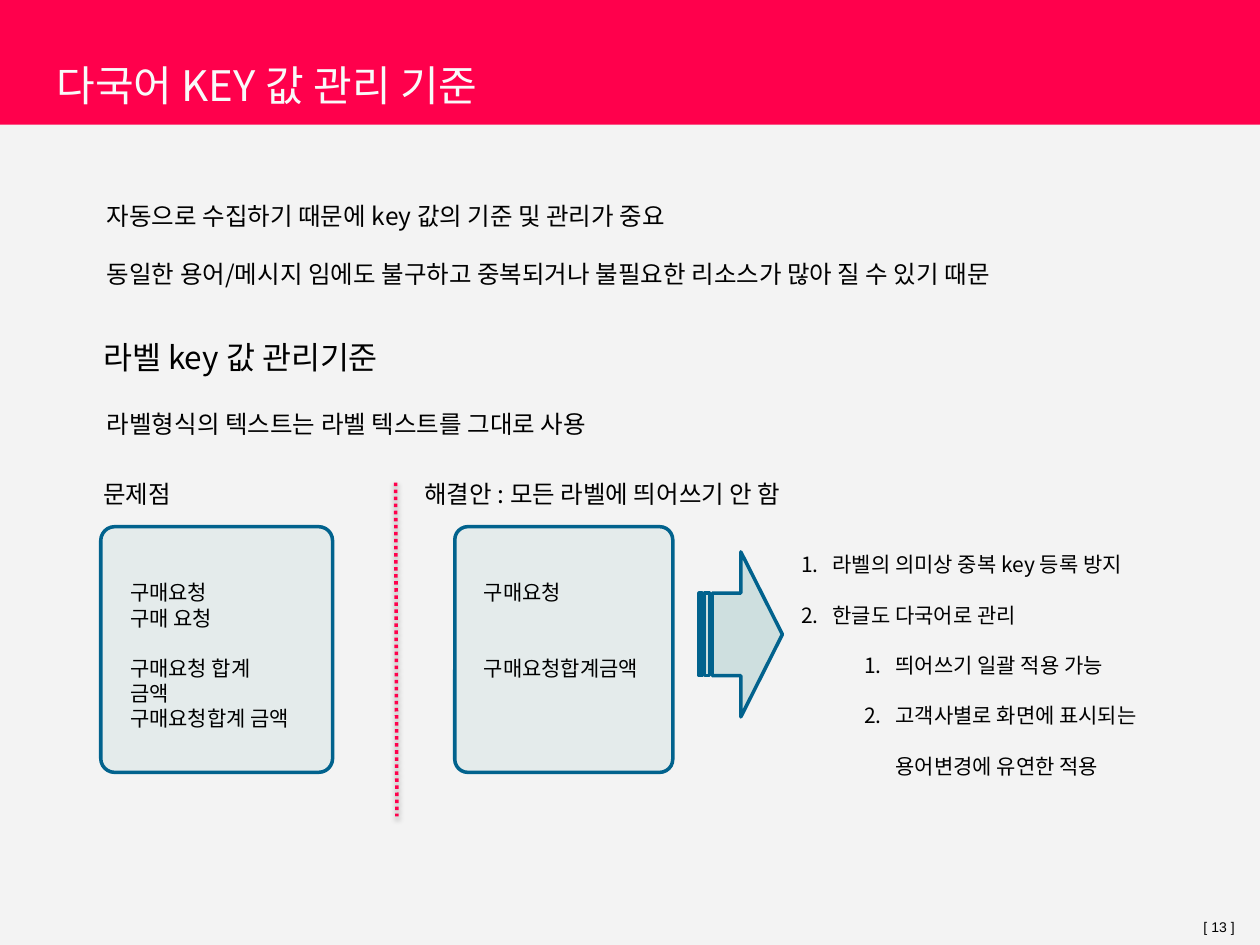
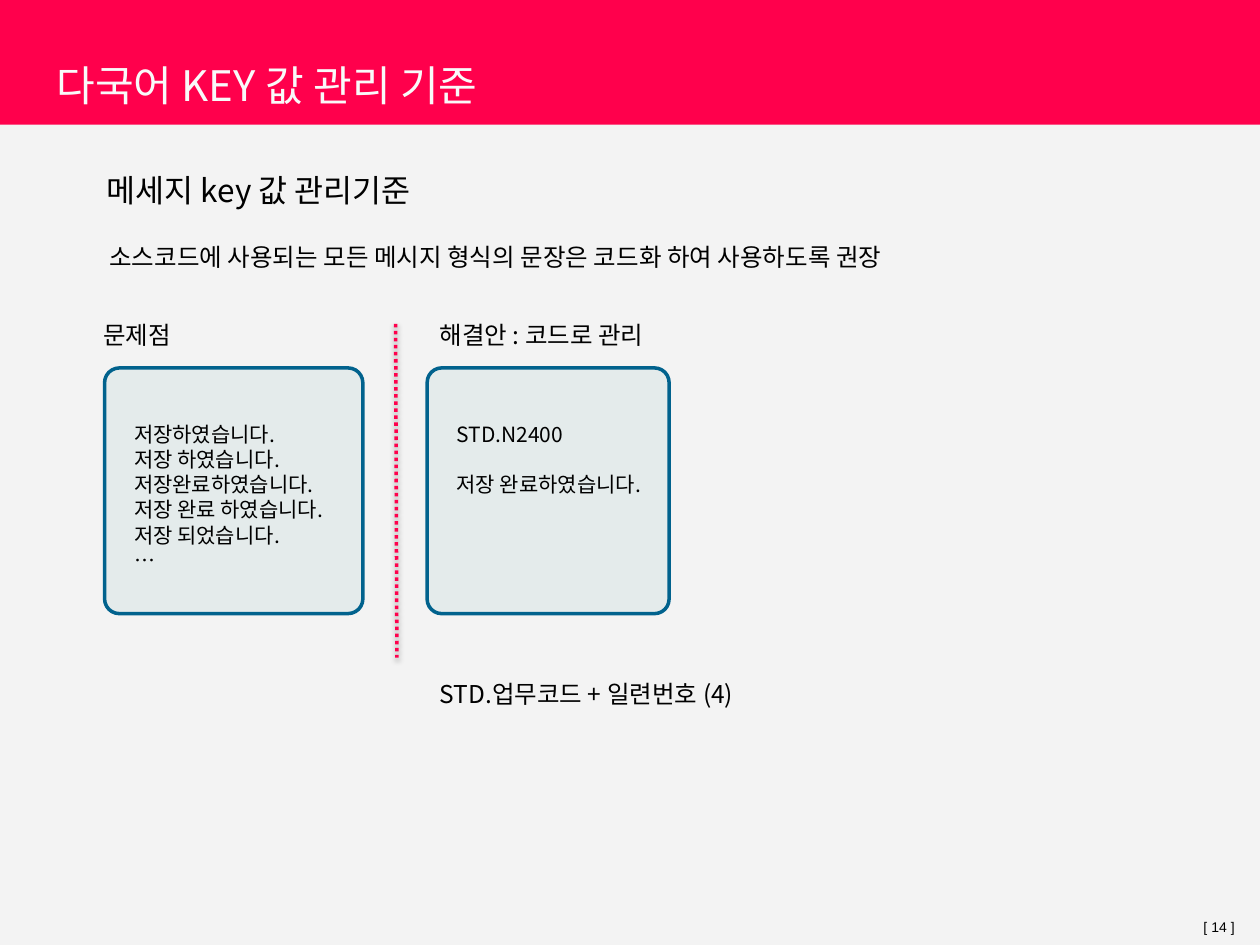
from lxml import etree
from pptx import Presentation, util as u
from pptx.dml.color import RGBColor
from pptx.enum import dml, shapes, text
from pptx.oxml import ns

PX = 9144  # 100 px to the inch
FONT = "Noto Sans CJK KR"
LINE_HEIGHT = 1.2
COLORS = {"page": "F3F3F3", "band": "FF004C", "title": "F9F9F9", "ink": "000000",
          "panel": "ABCDCC", "edge": "01628D"}
color = {name: RGBColor.from_string(value) for name, value in COLORS.items()}


def write(frame, lines, size, ink="ink", font=FONT, spacing=None):
    """Fill a frame; each line is a text or (number of lines left free above, text)."""
    frame.word_wrap = True
    for i, line in enumerate(lines):
        free, words = line if isinstance(line, tuple) else (0, line)
        paragraph = frame.paragraphs[0] if i == 0 else frame.add_paragraph()
        paragraph.alignment = text.PP_ALIGN.LEFT
        paragraph.line_spacing = spacing
        if free:
            paragraph.space_before = u.Pt(free * size * LINE_HEIGHT)
        for j, part in enumerate(words.split("\v")):
            if j:
                paragraph.add_line_break()
            run = paragraph.add_run()
            run.text = part
            run.font.size = u.Pt(size)
            run.font.name = font
            run.font.color.rgb = color[ink]
            etree.SubElement(run.font._element, ns.qn("a:ea"), typeface=font)
    return frame


def add_block(slide, kind, box, fill, opacity=100, edge=None):
    """Add a preset shape with a fill of the given opacity in percent."""
    block = slide.shapes.add_shape(kind, *[n * PX for n in box])
    block.shadow.inherit = False
    block.fill.solid()
    block.fill.fore_color.rgb = color[fill]
    if opacity < 100:
        tint = block.fill._xPr.find(".//" + ns.qn("a:srgbClr"))
        etree.SubElement(tint, ns.qn("a:alpha"), val=str(opacity * 1000))
    if edge:
        block.line.color.rgb = color[edge]
        block.line.width = u.Pt(2)
    else:
        block.line.fill.background()
    return block


# Each text: box, lines, size, line spacing
# Each panel: left, width, lines
pages = [
    {"number": 13, "compare_top": 375,
     "texts": [
         ((72, 263, 241, 40), ["라벨 key 값 관리기준"], 18, None),
         ((75, 131, 850, 104),
          ["자동으로 수집하기 때문에 key 값의 기준 및 관리가 중요",
           "동일한 용어/메시지 임에도 불구하고 중복되거나 불필요한 리소스가 많아 질 수 있기 때문"], 14, 2),
         ((75, 296, 850, 51), ["라벨형식의 텍스트는 라벨 텍스트를 그대로 사용"], 14, 2)],
     "solution": (327, "해결안 : 모든 라벨에 띄어쓰기 안 함"),
     "panels": [
         (80, 184, ["구매요청", "구매 요청", (1, "구매요청 합계\v금액"), "구매요청합계 금액"]),
         (361, 173, ["구매요청", (2, "구매요청합계금액")])]},
    {"number": 14, "compare_top": 249,
     "texts": [
         ((75, 131, 264, 40), ["메세지 key 값 관리기준"], 18, None),
         ((77, 164, 850, 51),
          ["소스코드에 사용되는 모든 메시지 형식의 문장은 코드화 하여 사용하도록 권장"], 14, 2),
         ((339, 511, 303, 57), ["STD.업무코드 + 일련번호 (4)"], 14, 2)],
     "solution": (339, "해결안 : 코드로 관리"),
     "panels": [
         (83, 205, ["저장하였습니다.", "저장 하였습니다.", "저장완료하였습니다.",
                    "저장 완료 하였습니다.", "저장 되었습니다.", "…"]),
         (339, 192, ["STD.N2400", (1, "저장 완료하였습니다.")])]},
]

prs = Presentation()
prs.slide_width, prs.slide_height = 1000 * PX, 750 * PX
prs.slide_master.background.fill.solid()
prs.slide_master.background.fill.fore_color.rgb = color["page"]

slides = []
for page in pages:
    slide = prs.slides.add_slide(prs.slide_layouts[6])
    slides.append(slide)
    top = page["compare_top"]

    # Title band and page number
    add_block(slide, shapes.MSO_SHAPE.RECTANGLE, (0, 0, 1000, 99), "band")
    title = slide.shapes.add_textbox(35 * PX, 36 * PX, 882 * PX, 63 * PX).text_frame
    title.vertical_anchor = text.MSO_ANCHOR.MIDDLE
    write(title, ["다국어 KEY 값 관리 기준"], 24, "title")
    number = slide.shapes.add_textbox(940 * PX, 727 * PX, 40 * PX, 17 * PX).text_frame
    number.margin_left = number.margin_right = number.margin_top = number.margin_bottom = 0
    number.vertical_anchor = text.MSO_ANCHOR.MIDDLE
    write(number, [f"[ {page['number']} ]"], 8, font="Arial")
    number.paragraphs[0].alignment = text.PP_ALIGN.RIGHT

    for box, lines, size, spacing in page["texts"]:
        frame = slide.shapes.add_textbox(*[n * PX for n in box]).text_frame
        write(frame, lines, size, spacing=spacing)

    # Problem on the left, solution on the right
    solution_left, solution = page["solution"]
    for left, width, heading in [(72, 142, "문제점"), (solution_left, 323, solution)]:
        frame = slide.shapes.add_textbox(left * PX, top * PX, width * PX, 34 * PX).text_frame
        frame.vertical_anchor = text.MSO_ANCHOR.MIDDLE
        write(frame, [heading], 14)
    for left, width, lines in page["panels"]:
        panel = add_block(slide, shapes.MSO_SHAPE.ROUNDED_RECTANGLE,
                          (left, top + 43, width, 195), "panel", 20, "edge")
        panel.adjustments[0] = 0.06
        frame = panel.text_frame
        frame.margin_left = frame.margin_right = 20 * PX
        frame.margin_top = frame.margin_bottom = 39 * PX
        frame.vertical_anchor = text.MSO_ANCHOR.TOP
        write(frame, lines, 12)

    divider = slide.shapes.add_connector(shapes.MSO_CONNECTOR.STRAIGHT, 314 * PX,
                                         (top + 8) * PX, 315 * PX, (top + 273) * PX)
    divider.line.color.rgb = color["band"]
    divider.line.width = u.Pt(2)
    divider.line.dash_style = dml.MSO_LINE.ROUND_DOT
    effects = etree.SubElement(divider._element.spPr, ns.qn("a:effectLst"))
    shadow = etree.SubElement(effects, ns.qn("a:outerShdw"), blurRad=str(u.Pt(3.1)),
                              dist=str(u.Pt(1.6)), dir="5400000", rotWithShape="0")
    shade = etree.SubElement(shadow, ns.qn("a:srgbClr"), val=COLORS["ink"])
    etree.SubElement(shade, ns.qn("a:alpha"), val="38000")

# Benefits that follow from the label rule
label_slide = slides[0]
add_block(label_slide, shapes.MSO_SHAPE.STRIPED_RIGHT_ARROW, (555, 438, 66, 131),
          "panel", 50, "edge")
benefits = [(0, "라벨의 의미상 중복 key 등록 방지"), (0, "한글도 다국어로 관리"),
            (1, "띄어쓰기 일괄 적용 가능"),
            (1, "고객사별로 화면에 표시되는 용어변경에 유연한 적용")]
frame = label_slide.shapes.add_textbox(626 * PX, 413 * PX, 299 * PX, 207 * PX).text_frame
write(frame, [words for level, words in benefits], 12, spacing=2)
for paragraph, (level, words) in zip(frame.paragraphs, benefits):
    paragraph.level = level
    props = paragraph._p.get_or_add_pPr()
    props.set("marL", str((25 + 50 * level) * PX))
    props.set("indent", str(-25 * PX))
    etree.SubElement(props, ns.qn("a:buFont"), typeface="+mj-lt")
    etree.SubElement(props, ns.qn("a:buAutoNum"), type="arabicPeriod")

prs.save("out.pptx")
